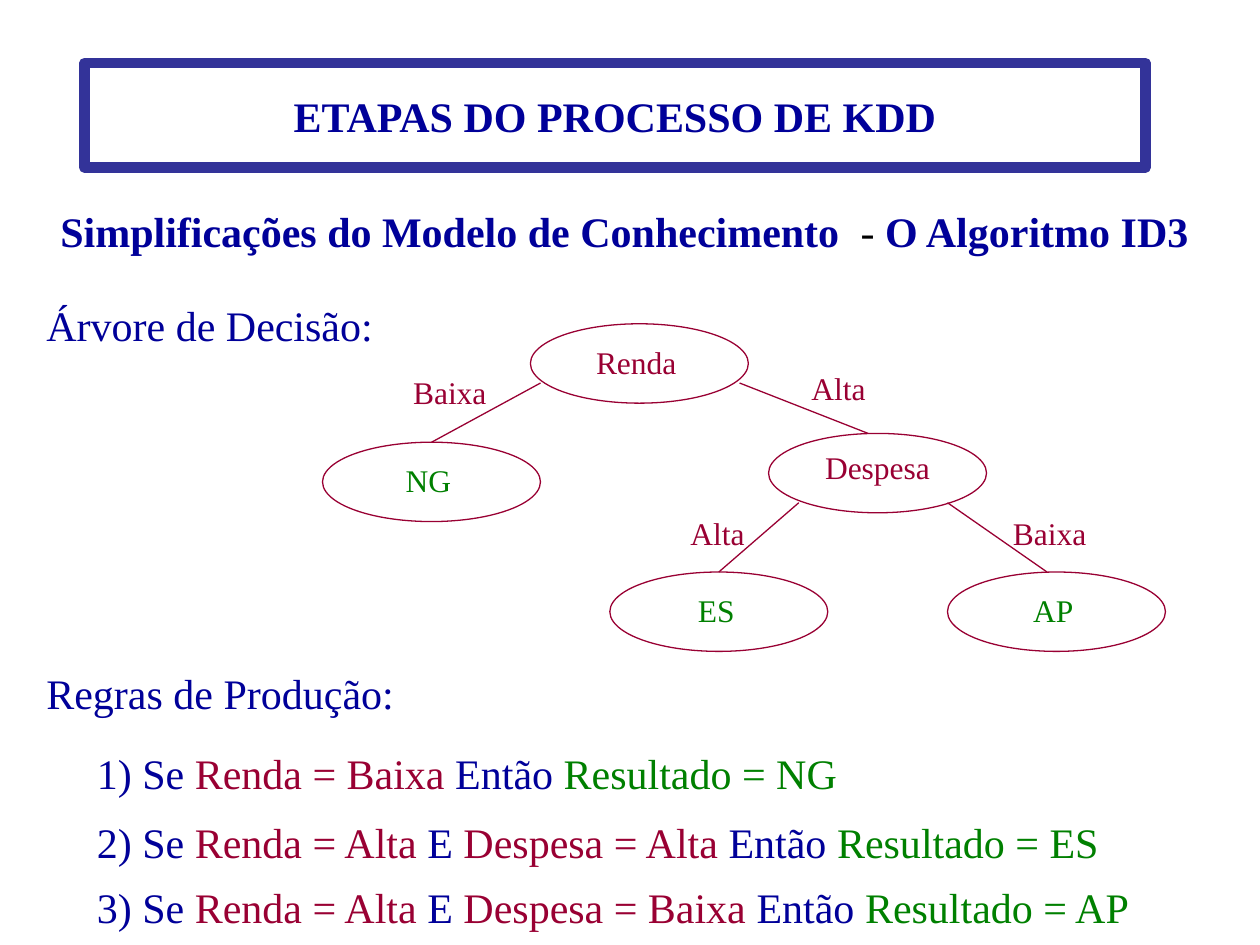
import dataclasses
import typing

import lxml.etree
import pptx
import pptx.dml.color
import pptx.enum.shapes
import pptx.enum.text
import pptx.oxml.ns
import pptx.util

COLUMNS, ROWS = 100, 75
CELL = pptx.util.Inches(0.1)
FONT = "Times New Roman"
NAVY, FRAME, WINE, GREEN, BLACK = "000099", "333399", "990033", "008000", "000000"
NODE_WIDTH, NODE_HEIGHT = 17.3, 6.3
ALIGN = pptx.enum.text.PP_ALIGN
ANCHOR = pptx.enum.text.MSO_ANCHOR


class Box(typing.NamedTuple):
    """Left, top, width and height in grid cells."""
    left: float
    top: float
    width: float
    height: float


class Piece(typing.NamedTuple):
    words: str
    color: str = NAVY
    bold: bool = False


@dataclasses.dataclass
class Node:
    words: str
    left: float
    top: float
    label: Box
    color: str = WINE


@dataclasses.dataclass
class Branch:
    words: str
    start: tuple[float, float]
    end: tuple[float, float]
    label: Box
    top_of: str = ""  # node whose top middle the branch is joined to


NODES = [
    Node("Renda", 42.1, 25.7, Box(46.3, 26.7, 8.4, 4)),
    Node("NG", 25.6, 35.1, Box(31.2, 36.1, 5.6, 4), GREEN),
    Node("Despesa", 61, 34.4, Box(64.5, 35.1, 10.3, 4)),
    Node("ES", 48.4, 45.4, Box(54.4, 46.4, 4.9, 4), GREEN),
    Node("AP", 75.2, 45.4, Box(81, 46.4, 5.2, 4), GREEN),
]
BRANCHES = [
    Branch("Baixa", (42.9, 30.4), (34.3, 35.1), Box(31.8, 29.1, 7.8, 4), "NG"),
    Branch("Alta", (58.7, 30.4), (68.9, 34.4), Box(63.4, 28.8, 6.3, 4)),
    Branch("Alta", (63.4, 39.9), (57.1, 45.4), Box(53.8, 40.3, 6.3, 4), "ES"),
    Branch("Baixa", (75.2, 39.9), (83.1, 45.4), Box(79.4, 40.3, 7.8, 4)),
]
# Top row of each rule, its conditions and its result
RULES = [
    (58.8, ["Renda = Baixa"], "NG"),
    (64.3, ["Renda = Alta", "Despesa = Alta"], "ES"),
    (69.5, ["Renda = Alta", "Despesa = Baixa"], "AP"),
]


def cells(*counts: float) -> list[int]:
    return [round(count * CELL) for count in counts]


def rgb(color: str) -> pptx.dml.color.RGBColor:
    return pptx.dml.color.RGBColor.from_string(color)


def outline(line, color: str, points: float) -> None:
    line.color.rgb = rgb(color)
    line.width = pptx.util.Pt(points)


def write(frame, pieces: list[Piece], size: float, align) -> None:
    paragraph = frame.paragraphs[0]
    paragraph.alignment = align
    paragraph.font.name = FONT
    paragraph.font.size = pptx.util.Pt(size)
    for piece in pieces:
        run = paragraph.add_run()
        run.text = piece.words
        run.font.color.rgb = rgb(piece.color)
        run.font.bold = piece.bold


def add_text(slide, box: Box, pieces: list[Piece], size: float = 24,
             align=ALIGN.JUSTIFY, anchor=ANCHOR.MIDDLE, wrap: bool = True) -> None:
    frame = slide.shapes.add_textbox(*cells(*box)).text_frame
    frame.word_wrap = wrap
    frame.auto_size = pptx.enum.text.MSO_AUTO_SIZE.SHAPE_TO_FIT_TEXT
    frame.vertical_anchor = anchor
    write(frame, pieces, size, align)


def add_label(slide, box: Box, words: str, color: str) -> None:
    add_text(slide, box, [Piece(words, color)], 18, ALIGN.CENTER, ANCHOR.TOP, wrap=False)


def add_node(slide, node: Node):
    ellipse = slide.shapes.add_shape(
        pptx.enum.shapes.MSO_SHAPE.OVAL,
        *cells(node.left, node.top, NODE_WIDTH, NODE_HEIGHT))
    ellipse.shadow.inherit = False
    ellipse.fill.background()
    outline(ellipse.line, WINE, 0.75)
    add_label(slide, node.label, node.words, node.color)
    return ellipse


def add_branch(slide, branch: Branch, ellipses: dict) -> None:
    connector = slide.shapes.add_connector(
        pptx.enum.shapes.MSO_CONNECTOR.STRAIGHT, *cells(*branch.start, *branch.end))
    if branch.top_of:
        connector.end_connect(ellipses[branch.top_of], 0)
    outline(connector.line, WINE, 0.75)
    lxml.etree.SubElement(connector._element.spPr, pptx.oxml.ns.qn("a:effectLst"))
    add_label(slide, branch.label, branch.words, WINE)


def add_title(slide, words: str) -> None:
    title = slide.shapes.title
    title.left, title.top, title.width, title.height = cells(6.7, 5, 84.2, 8.3)
    outline(title.line, FRAME, 6)
    title.text_frame.auto_size = pptx.enum.text.MSO_AUTO_SIZE.NONE
    title.text_frame.vertical_anchor = ANCHOR.MIDDLE
    write(title.text_frame, [Piece(words, bold=True)], 24, ALIGN.CENTER)


def rule_pieces(number: int, conditions: list[str], result: str) -> list[Piece]:
    pieces = []
    for joint, condition in zip([f"{number}) Se ", " E "], conditions):
        pieces += [Piece(joint), Piece(condition, WINE)]
    return pieces + [Piece(" Então "), Piece(f"Resultado = {result}", GREEN)]


def main() -> None:
    deck = pptx.Presentation()
    deck.slide_width, deck.slide_height = cells(COLUMNS, ROWS)
    slide = deck.slides.add_slide(deck.slide_layouts.get_by_name("Title Only"))

    add_title(slide, "ETAPAS DO PROCESSO DE KDD")
    add_text(slide, Box(3.5, 15.8, 92.1, 5), [
        Piece("Simplificações do Modelo de Conhecimento", bold=True),
        Piece("  - ", BLACK),
        Piece("O Algoritmo ID3", bold=True),
    ], align=ALIGN.CENTER, anchor=ANCHOR.TOP)

    for top, heading in [(23.3, "Árvore de Decisão:"), (52.5, "Regras de Produção:")]:
        add_text(slide, Box(2.7, top, 30.7, 5), [Piece(heading)])

    ellipses = {node.words: add_node(slide, node) for node in NODES}
    for branch in BRANCHES:
        add_branch(slide, branch, ellipses)

    for number, (top, conditions, result) in enumerate(RULES, start=1):
        add_text(slide, Box(6.7, top, 88.2, 5), rule_pieces(number, conditions, result))

    deck.save("out.pptx")


if __name__ == "__main__":
    main()
